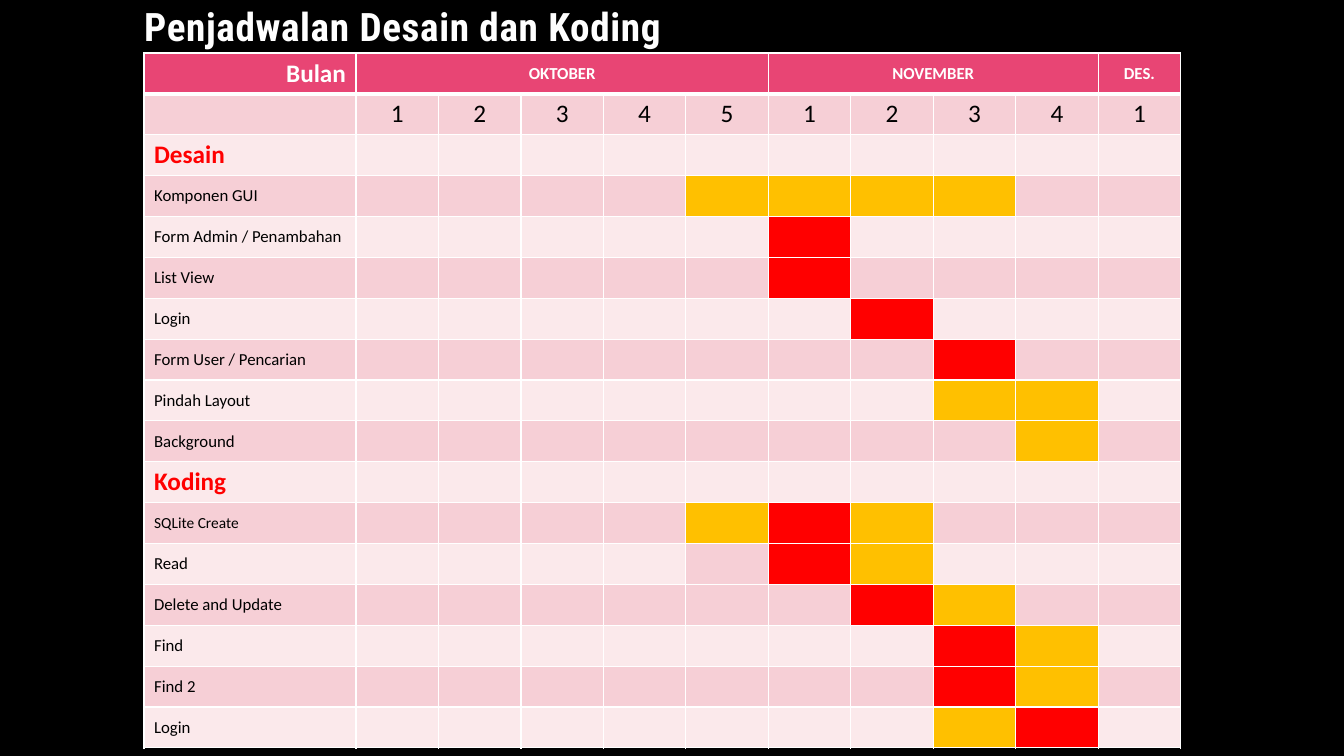
import pptx
import pptx.dml.color
import pptx.enum.text
import pptx.oxml
import pptx.oxml.ns
import pptx.util

RGBColor = pptx.dml.color.RGBColor
ALIGN = pptx.enum.text.PP_ALIGN
MIDDLE = pptx.enum.text.MSO_ANCHOR.MIDDLE

BLACK = RGBColor(0x00, 0x00, 0x00)
WHITE = RGBColor(0xFF, 0xFF, 0xFF)
TITLE_WHITE = RGBColor(0xFE, 0xFE, 0xFE)
PINK = RGBColor(0xE8, 0x45, 0x74)
ROSE = RGBColor(0xF6, 0xCF, 0xD6)
PALE = RGBColor(0xFB, 0xE9, 0xEB)
RED = RGBColor(0xFF, 0x00, 0x00)
AMBER = RGBColor(0xFF, 0xC0, 0x00)

EMU_PER_INCH = 914400
PX_PER_INCH = 100.8

MONTHS = [("OKTOBER", 5), ("NOVEMBER", 4), ("DES.", 1)]
WEEK_COUNT = sum(weeks for month, weeks in MONTHS)

# One mark per week: R red, A amber, S rose, - plain band colour
MARKS = {"R": RED, "A": AMBER, "S": ROSE}
NO_WORK = "-" * WEEK_COUNT
SECTION = dict(size=18, bold=True, color=RED)
TASK = dict(size=12, bold=False, color=BLACK)
SMALL_TASK = dict(TASK, size=11)
HEADING = dict(size=12, bold=True, color=WHITE)
WEEK = dict(size=18, bold=False, color=BLACK)
SCHEDULE = [
    ("Desain", NO_WORK, SECTION),
    ("Komponen GUI", "----AAAA--", TASK),
    ("Form Admin / Penambahan", "-----R----", TASK),
    ("List View", "-----R----", TASK),
    ("Login", "------R---", TASK),
    ("Form User / Pencarian", "-------R--", TASK),
    ("Pindah Layout", "-------AA-", TASK),
    ("Background", "--------A-", TASK),
    ("Koding", NO_WORK, SECTION),
    ("SQLite Create", "----ARA---", SMALL_TASK),
    ("Read", "----SRA---", TASK),
    ("Delete and Update", "------RA--", TASK),
    ("Find", "-------RA-", TASK),
    ("Find 2", "-------RA-", TASK),
    ("Login", "-------AR-", TASK),
]


def px(length):
    return pptx.util.Emu(round(length * EMU_PER_INCH / PX_PER_INCH))


def format_span(span, size, bold, color, name="Calibri"):
    values = {"size": pptx.util.Pt(size), "bold": bold, "name": name}
    for key, value in values.items():
        setattr(span.font, key, value)
    span.font.color.rgb = color


def write_cell(cell, text, align, style):
    cell.vertical_anchor = MIDDLE
    para = cell.text_frame.paragraphs[0]
    para.alignment = align
    span = para.add_run()
    span.text = text
    format_span(span, **style)


def paint_cell(cell, color, top=1, bottom=1):
    cell.fill.solid()
    cell.fill.fore_color.rgb = color
    # Borders come before the fill in the cell properties
    widths = {"lnL": 1, "lnR": 1, "lnT": top, "lnB": bottom}
    for position, (side, points) in enumerate(widths.items()):
        border = pptx.oxml.parse_xml(
            f'<a:{side} {pptx.oxml.ns.nsdecls("a")} w="{pptx.util.Pt(points)}">'
            f'<a:solidFill><a:srgbClr val="{WHITE}"/></a:solidFill></a:{side}>')
        cell.fill._xPr.insert(position, border)


def add_title(page, text):
    title = page.shapes.title
    box = dict(left=px(134), top=px(-17), width=px(745), height=px(71))
    for key, value in box.items():
        setattr(title, key, value)
    frame = title.text_frame
    settings = dict(word_wrap=True, vertical_anchor=pptx.enum.text.MSO_ANCHOR.BOTTOM,
                    auto_size=pptx.enum.text.MSO_AUTO_SIZE.NONE)
    for key, value in settings.items():
        setattr(frame, key, value)
    para = frame.paragraphs[0]
    para.alignment = ALIGN.LEFT
    span = para.add_run()
    span.text = text
    format_span(span, 28, True, TITLE_WHITE, "Roboto Condensed")

    # Letter spacing, outline and shadow
    properties = span.font._element
    properties.set("spc", "50")
    names = pptx.oxml.ns.nsdecls("a")
    outline = pptx.oxml.parse_xml(
        f'<a:ln {names} w="{pptx.util.Pt(0.75)}"><a:solidFill>'
        f'<a:srgbClr val="{PINK}"/></a:solidFill></a:ln>')
    shadow = pptx.oxml.parse_xml(
        f'<a:effectLst {names}><a:outerShdw blurRad="38100" dist="25400" dir="2700000">'
        f'<a:srgbClr val="{PINK}"><a:alpha val="60000"/></a:srgbClr>'
        f'</a:outerShdw></a:effectLst>')
    properties.insert(0, outline)
    properties.insert(2, shadow)


def add_schedule(page):
    row_count = len(SCHEDULE) + 2
    table = page.shapes.add_table(row_count, WEEK_COUNT + 1, px(144), px(53),
                                  px(1037), px(40 * row_count)).table
    for row in table.rows:
        row.height = px(40)
    table.columns[0].width = px(212)
    for column in range(1, WEEK_COUNT + 1):
        table.columns[column].width = px(825) // WEEK_COUNT

    # Month and week headings
    for column in range(WEEK_COUNT + 1):
        paint_cell(table.cell(0, column), PINK, bottom=3)
        paint_cell(table.cell(1, column), ROSE, top=3)
    write_cell(table.cell(0, 0), "Bulan", ALIGN.RIGHT, dict(HEADING, size=18))
    first = 1
    for month, weeks in MONTHS:
        if weeks > 1:
            table.cell(0, first).merge(table.cell(0, first + weeks - 1))
        write_cell(table.cell(0, first), month, ALIGN.CENTER, HEADING)
        for week in range(weeks):
            write_cell(table.cell(1, first + week), str(week + 1), ALIGN.CENTER, WEEK)
        first += weeks

    # Tasks with their marked weeks
    for row, (task, marks, style) in enumerate(SCHEDULE, start=2):
        band = ROSE if row % 2 else PALE
        paint_cell(table.cell(row, 0), band)
        write_cell(table.cell(row, 0), task, ALIGN.LEFT, style)
        for column, mark in enumerate(marks, start=1):
            paint_cell(table.cell(row, column), MARKS.get(mark, band))


def main():
    deck = pptx.Presentation()
    deck.slide_width, deck.slide_height = px(1344), px(756)
    page = deck.slides.add_slide(deck.slide_layouts[5])
    page.background.fill.solid()
    page.background.fill.fore_color.rgb = BLACK
    add_schedule(page)
    add_title(page, "Penjadwalan Desain dan Koding")
    deck.save("out.pptx")


if __name__ == "__main__":
    main()
